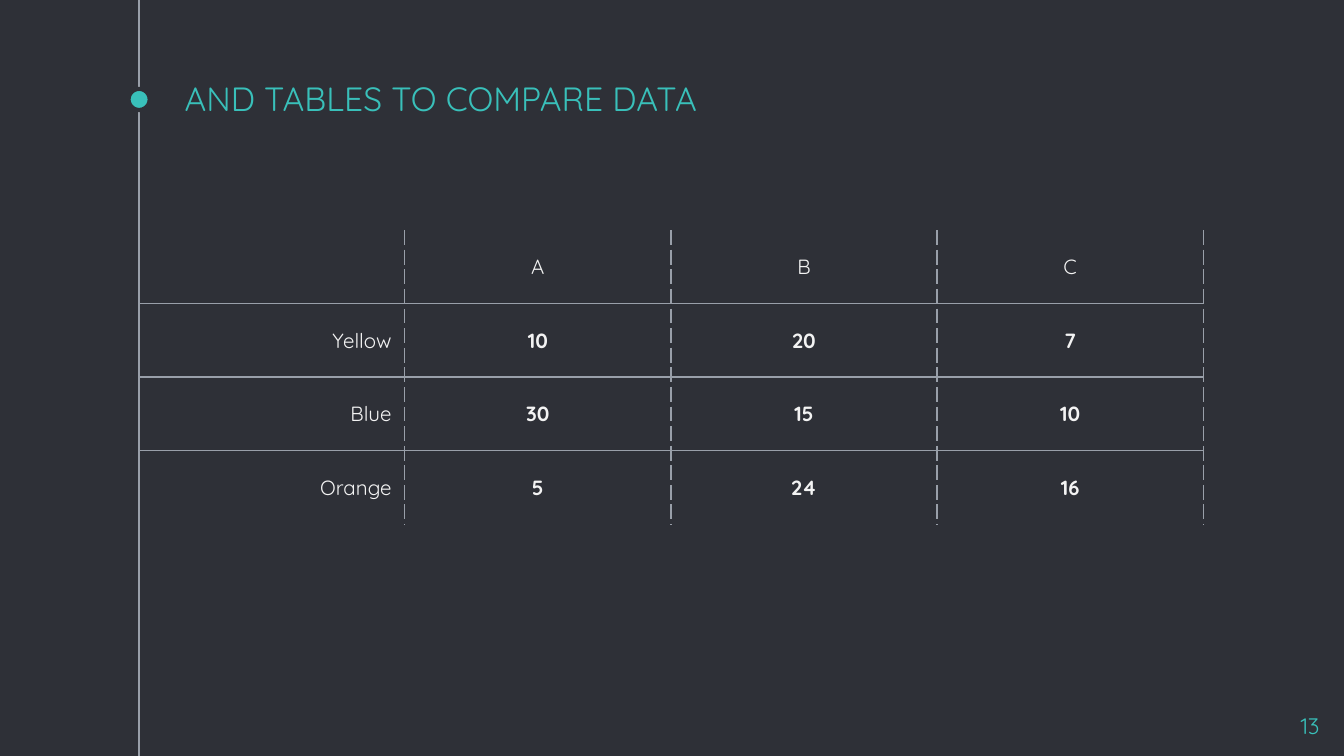
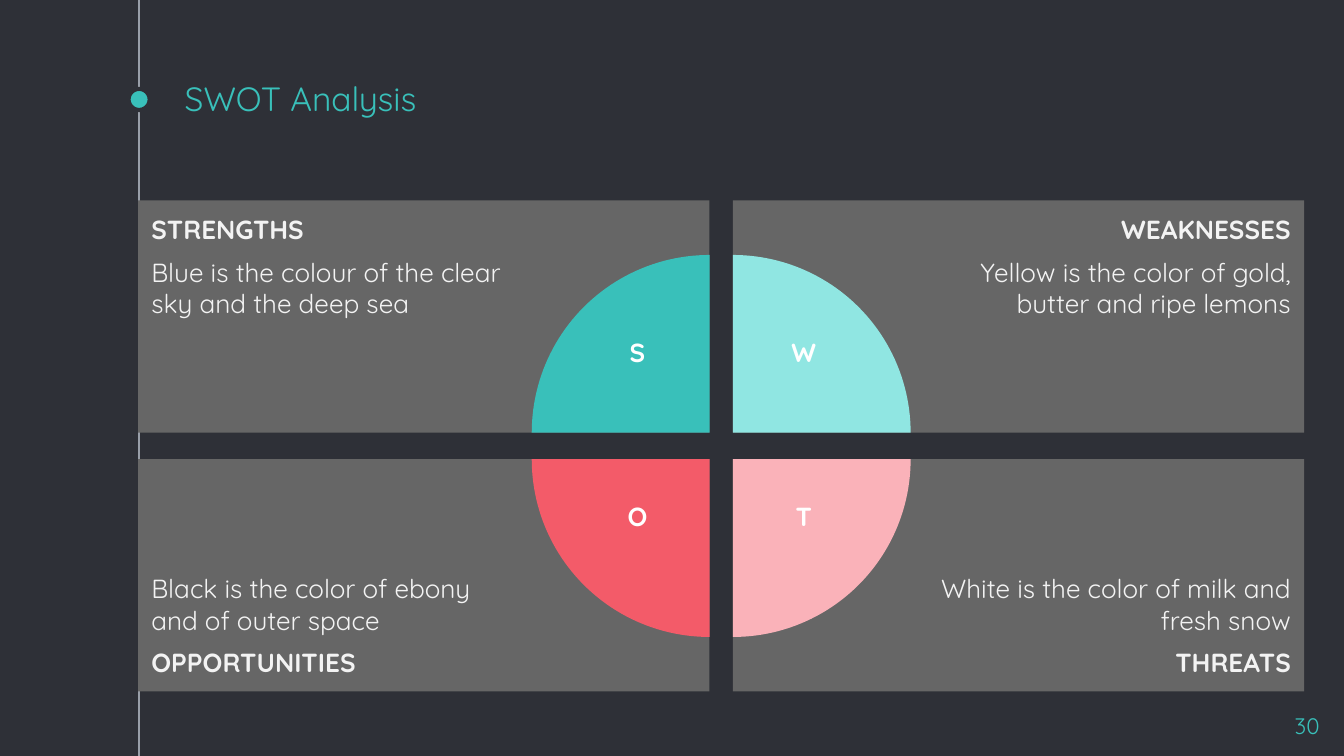
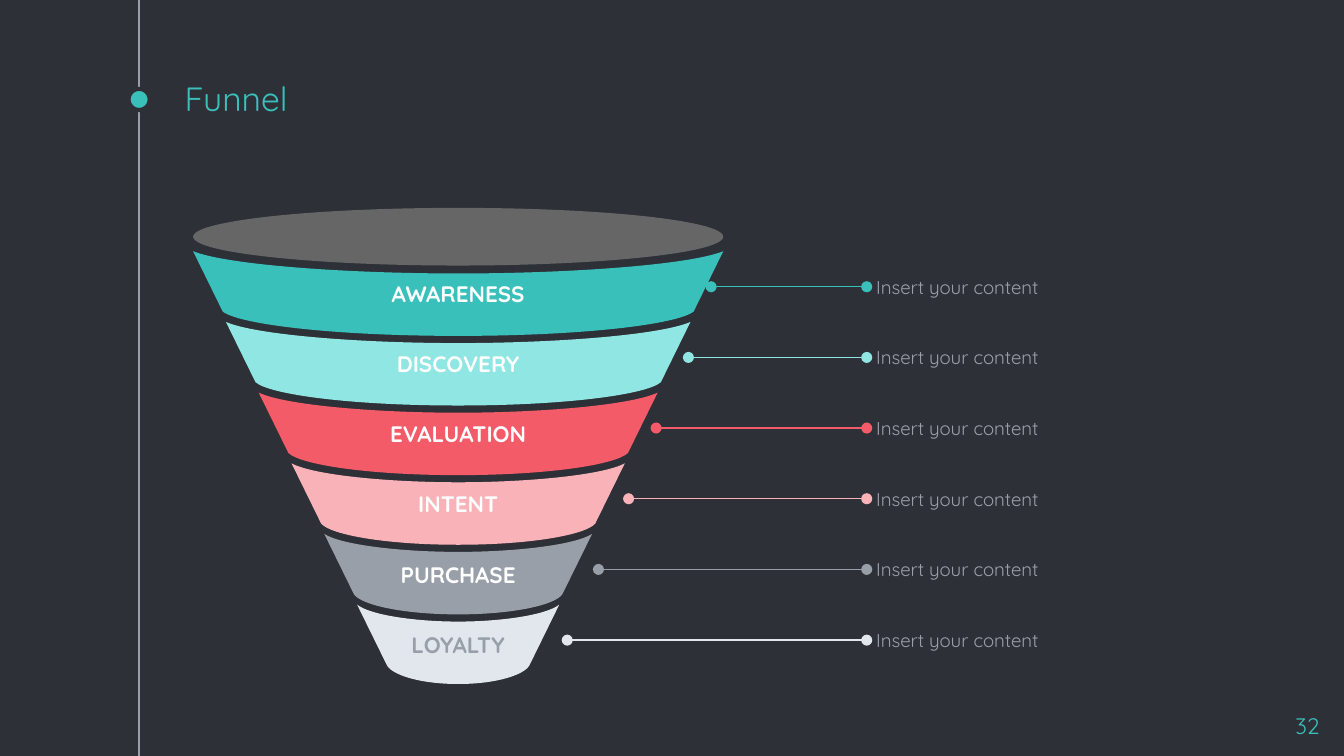
"""Build three dark slides: a table, a SWOT grid and a funnel."""
from itertools import product

from lxml import etree
from pptx import Presentation
from pptx.dml.color import RGBColor
from pptx.enum.shapes import MSO_CONNECTOR, MSO_SHAPE
from pptx.enum.text import MSO_ANCHOR, MSO_AUTO_SIZE, PP_ALIGN
from pptx.oxml.ns import qn
from pptx.util import Cm, Pt

LEFT, MID, RIGHT = PP_ALIGN.LEFT, PP_ALIGN.CENTER, PP_ALIGN.RIGHT
TOP, CENTER, BASE = MSO_ANCHOR.TOP, MSO_ANCHOR.MIDDLE, MSO_ANCHOR.BOTTOM
RECT, OVAL, PIE = MSO_SHAPE.RECTANGLE, MSO_SHAPE.OVAL, MSO_SHAPE.PIE
STRAIGHT = MSO_CONNECTOR.STRAIGHT


class Theme:
    font = "Quicksand"
    back, panel, rule = "2E3037", "666666", "999FA9"
    teal, aqua, red, pink, ice = "39C0BA", "90E6E2", "F35B69", "FAB2B9", "E2E7EE"
    white, pale = "FFFFFF", "F3F3F3"
    title, swot, label, cell, note = 18, 14, 12, 11, 10
    thin, ring = 0.75, 2.25
    pad = 0.25


WIDE, HIGH, AXIS = 25.4, 14.29, 2.63

GRID = [
    ("", "A", "B", "C"),
    ("Yellow", "10", "20", "7"),
    ("Blue", "30", "15", "10"),
    ("Orange", "5", "24", "16"),
]

SWOT = [
    ("S", "STRENGTHS", "Blue is the colour of the clear sky and the deep sea",
     Theme.teal, 0, 0.9),
    ("W", "WEAKNESSES", "Yellow is the color of gold, butter and ripe lemons",
     Theme.aqua, 90, 1.57),
    ("O", "OPPORTUNITIES", "Black is the color of ebony and of outer space",
     Theme.red, 270, 1.17),
    ("T", "THREATS", "White is the color of milk and fresh snow",
     Theme.pink, 180, 0.97),
]

STAGES = [
    ("AWARENESS", Theme.teal, Theme.white, 13.44),
    ("DISCOVERY", Theme.aqua, Theme.white, 13.01),
    ("EVALUATION", Theme.red, Theme.white, 12.4),
    ("INTENT", Theme.pink, Theme.white, 11.88),
    ("PURCHASE", Theme.rule, Theme.white, 11.31),
    ("LOYALTY", Theme.ice, Theme.rule, 10.72),
]
NOTE = "Insert your content"


def put(thing, **vals):
    """Set each named attribute on a thing."""
    for key, val in vals.items():
        setattr(thing, key, val)


def box(*dims):
    """Turn centimetre numbers into lengths."""
    return [Cm(dim) for dim in dims]


def write(frame, lines, size, color, align=LEFT, anchor=TOP,
          pad=(Theme.pad,) * 4, wrap=True):
    """Fill a text frame with (text, bold, space before, space after) lines."""
    left, top, right, low = box(*pad)
    put(frame, auto_size=MSO_AUTO_SIZE.NONE, word_wrap=wrap,
        vertical_anchor=anchor, margin_left=left, margin_top=top,
        margin_right=right, margin_bottom=low)
    for num, (text, bold, above, below) in enumerate(lines):
        para = frame.add_paragraph() if num else frame.paragraphs[0]
        put(para, alignment=align, space_before=Pt(above), space_after=Pt(below))
        style(para, text, size, color, bold)


def style(para, text, size, color, bold=False):
    """Add one formatted run to a paragraph."""
    run = para.add_run()
    run.text = text
    put(run.font, name=Theme.font, size=Pt(size), bold=bold)
    run.font.color.rgb = RGBColor.from_string(color)


def label(slide, dims, text, size, color, bold=False, **form):
    """Add a text box holding one line."""
    area = slide.shapes.add_textbox(*box(*dims))
    write(area.text_frame, [(text, bold, 0, 0)], size, color, **form)


def paint(shape, color):
    """Give a shape a flat fill with no outline or shadow."""
    shape.shadow.inherit = False
    shape.fill.solid()
    shape.fill.fore_color.rgb = RGBColor.from_string(color)
    shape.line.fill.background()
    return shape


def form(slide, kind, dims, color):
    """Add a flat preset shape."""
    return paint(slide.shapes.add_shape(kind, *box(*dims)), color)


def link(slide, ends, color, tips=False):
    """Add a thin straight line, with round tips if asked."""
    line = slide.shapes.add_connector(STRAIGHT, *box(*ends))
    line.line.width = Pt(Theme.thin)
    line.line.color.rgb = RGBColor.from_string(color)
    props = line.element.spPr
    etree.SubElement(props, qn("a:effectLst"))
    if tips:
        for tip in ("a:headEnd", "a:tailEnd"):
            etree.SubElement(props.find(qn("a:ln")), qn(tip), type="oval")
    return line


def dress(layout, slide):
    """Put the backdrop, axis and dot on the shared layout."""
    for part in list(layout.placeholders):
        if part.placeholder_format.idx:
            part.element.getparent().remove(part.element)
    fill = layout.background.fill
    fill.solid()
    fill.fore_color.rgb = RGBColor.from_string(Theme.back)
    axis = link(slide, (AXIS, 0, AXIS, HIGH), Theme.rule)
    dot = form(slide, OVAL, (AXIS - 0.2, 1.68, 0.4, 0.4), Theme.teal)
    dot.line.color.rgb = RGBColor.from_string(Theme.back)
    dot.line.width = Pt(Theme.ring)
    for part in (axis, dot):
        layout.shapes.element.append(part.element)


def head(slide, title, page):
    """Set the title and page number."""
    left, top, width, height = box(3.24, 1.52, 19.05, 0.97)
    put(slide.shapes.title, left=left, top=top, width=width, height=height)
    write(slide.shapes.title.text_frame, [(title, False, 0, 0)],
          Theme.title, Theme.teal, anchor=BASE)
    label(slide, (23.67, 13.21, 1.52, 0.86), page, Theme.label, Theme.teal,
          align=RIGHT)


def edge(cell, first, last):
    """Draw dashed sides and solid rules, leaving the outer top and foot open."""
    props = cell._tc.get_or_add_tcPr()
    sides = [("L", "dash"), ("R", "dash"),
             ("T", None if first else "solid"), ("B", None if last else "solid")]
    for spot, (side, dash) in enumerate(sides):
        line = etree.Element(qn("a:ln" + side), w=str(Pt(Theme.thin)))
        if dash:
            fill = etree.SubElement(line, qn("a:solidFill"))
            etree.SubElement(fill, qn("a:srgbClr"), val=Theme.rule)
            etree.SubElement(line, qn("a:prstDash"), val=dash)
        else:
            etree.SubElement(line, qn("a:noFill"))
        props.insert(spot, line)


def compare(slide):
    """Draw the data table."""
    rows, cols = len(GRID), len(GRID[0])
    wide, high = 5.03, 1.39
    table = slide.shapes.add_table(
        rows, cols, *box(2.62, 4.35, wide * cols, high * rows)).table
    put(table, first_row=False, horz_banding=False)
    for row, col in product(range(rows), range(cols)):
        cell, text = table.cell(row, col), GRID[row][col]
        cell.fill.background()
        side, rise = box(Theme.pad, 0.18)
        put(cell, vertical_anchor=CENTER, margin_left=side, margin_right=side,
            margin_top=rise, margin_bottom=rise)
        edge(cell, row == 0, row == rows - 1)
        if text:
            para = cell.text_frame.paragraphs[0]
            para.alignment = MID if col else RIGHT
            style(para, text, Theme.cell, Theme.pale, bool(row and col))


def swot(slide):
    """Draw four panels with a quarter disc at each inner corner."""
    wide, high, disc, pad = 10.8, 4.39, 6.72, Theme.pad
    lefts, tops = (2.61, 13.85), (3.79, 8.68)
    inner = list(product((tops[0] + high, tops[1]), (lefts[0] + wide, lefts[1])))
    spots = list(product((0, 1), repeat=2))
    for (row, col), (_, name, text, *_) in zip(spots, SWOT):
        panel = form(slide, RECT, (lefts[col], tops[row], wide, high), Theme.panel)
        lines = [(text, False, 6, 0), (name, True, 6, 6)] if row else [
            (name, True, 0, 0), (text, False, 6, 6)]
        write(panel.text_frame, lines, Theme.swot, Theme.pale,
              RIGHT if col else LEFT, BASE if row else TOP,
              (3.81, pad, pad, pad) if col else (pad, pad, 3.81, pad))
    for (y, x), (*_, color, turn, _) in zip(inner, SWOT):
        wedge = form(slide, PIE, (x - disc / 2, y - disc / 2, disc, disc), color)
        wedge.adjustments[0], wedge.adjustments[1] = 108, 162
        wedge.rotation = turn
    for (row, col), (y, x), (mark, *_, room) in zip(spots, inner, SWOT):
        mid = x + (1.34 if col else -1.36)
        label(slide, (mid - room / 2, y + (0.64 if row else -1.95), room, 1.22),
              mark, Theme.swot, Theme.white, True, align=MID,
              pad=(pad, 0.13, pad, 0.13), wrap=False)


def bend(shape, starts):
    """Merge the three segments from each start into one cubic curve."""
    segs = list(shape.element.iter(qn("a:lnTo")))
    for start in starts:
        cubic = etree.Element(qn("a:cubicBezTo"))
        segs[start].addprevious(cubic)
        for seg in segs[start:start + 3]:
            cubic.append(seg[0])
            seg.getparent().remove(seg)


def band(slide, mid, top, half, dip):
    """Outline one funnel band, mirrored about its middle."""
    foot, low, sag = half - 0.56, top + 1.14, dip + 0.04
    side = [(0, top + dip), (0.42 * half, top + dip),
            (0.87 * half, top + 0.62 * dip), (half, top),
            (foot, low), (0.93 * foot, low + 0.53 * sag),
            (0.53 * foot, low + sag), (0, low + sag)]
    points = [tuple(box(mid - x, y)) for x, y in side]
    points += [tuple(box(mid + x, y)) for x, y in side[-2::-1]]
    pen = slide.shapes.build_freeform(*points[0])
    pen.add_line_segments(points[1:], close=True)
    shape = pen.convert_to_shape()
    bend(shape, (0, 4, 7, 11))
    return shape


def funnel(slide):
    """Draw the bands, the rim and the notes beside them."""
    mid, step, stop = 8.66, 6.68 / 5, 16.38
    for num, (name, color, ink, _) in enumerate(STAGES):
        shape = band(slide, mid, 4.75 + step * num, 5.01 - 0.62 * num,
                     0.42 - 0.02 * num)
        write(paint(shape, color).text_frame, [(name, True, 0, 0)],
              Theme.label, ink, MID, CENTER, (0.18, 0.1, 0.18, 0.1))
    form(slide, OVAL, (mid - 5.01, 3.93, 10.02, 1.09), Theme.panel)
    for num, (_, color, _, start) in enumerate(STAGES):
        y = 5.42 + step * num
        link(slide, (start, y, stop, y), color, True)
        label(slide, (16.56, y - 0.48, 3.89, 0.96), NOTE, Theme.note, Theme.rule,
              anchor=CENTER, pad=(0, 0, 0, 0))


PAGES = [
    ("AND TABLES TO COMPARE DATA", "13", compare),
    ("SWOT Analysis", "30", swot),
    ("Funnel", "32", funnel),
]


def main():
    """Build and save the deck."""
    deck = Presentation()
    put(deck, slide_width=Cm(WIDE), slide_height=Cm(HIGH))
    layout = deck.slide_layouts[5]
    for num, (title, page, draw) in enumerate(PAGES):
        slide = deck.slides.add_slide(layout)
        if num == 0:
            dress(layout, slide)
        head(slide, title, page)
        draw(slide)
    deck.save("out.pptx")


if __name__ == "__main__":
    main()
